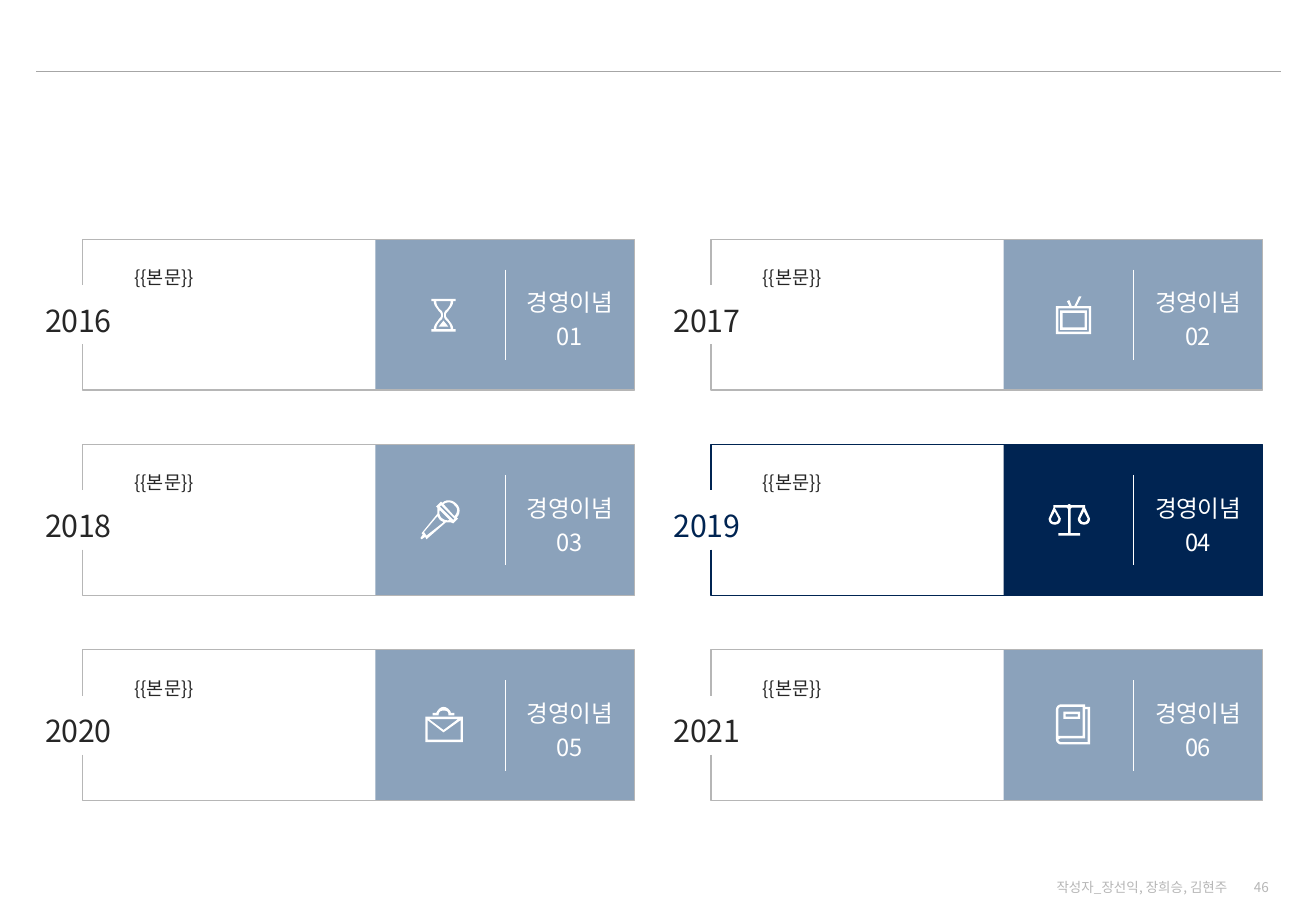
from itertools import product

from lxml import etree
from pptx import Presentation
from pptx import util as u
from pptx.dml.color import RGBColor
from pptx.enum import shapes, text
from pptx.oxml.ns import qn

NAVY = RGBColor(0x00, 0x24, 0x52)
STEEL = RGBColor(0x8B, 0xA2, 0xBB)
WHITE = RGBColor(0xFF, 0xFF, 0xFF)
INK = RGBColor(0x26, 0x26, 0x26)
SILVER = RGBColor(0xB6, 0xB6, 0xB6)
RULE_GRAY = RGBColor(0xA6, 0xA6, 0xA6)

# Positions and sizes are percentages of the slide's width and height.
CARD_LEFT, CARD_TOP = 6.28, 26.27
CARD_WIDTH, CARD_HEIGHT = 41.92, 16.53
COLUMN_PITCH, ROW_PITCH = 47.74, 22.53
GAP_TOP, GAP_BOTTOM = 5.03, 11.53
HIGHLIGHT_YEAR = 2019

# Icon outlines: M starts a contour, L adds lines, C adds a cubic curve.
HOURGLASS = """
M 22 14 C 23 12 26 10 26 6 L 28 6 28 4 8 4 8 6 10 6 C 10 10 13 12 14 14
C 15 15 16 16 16 17 L 16 18 C 16 19 15 20 14 21 C 13 23 10 25 10 29
L 8 29 8 31 28 31 28 29 26 29 C 26 25 23 23 22 21 C 21 20 20 19 20 18
L 20 17 C 20 16 21 15 22 14
M 20.6 22 C 22.6 24 23.8 26 24 29 L 12 29 C 12.2 26 13.4 24 15.4 22
C 16.8 21 17.5 20 17.5 18 L 17.5 17 C 17.5 15 16.8 14 15.4 13
C 13.4 11 12.2 9 12 6 L 24 6 C 23.8 9 22.6 11 20.6 13
C 19.2 14 18.5 15 18.5 17 L 18.5 18 C 18.5 20 19.2 21 20.6 22
M 14 27 L 22 27 18 22"""
TELEVISION = """
M 22 10 L 26 2 24 2 20 10 18 10 16 5 14 6 16 10 5 10 5 33 34 33 34 10
M 32 31 L 7 31 7 12 32 12
M 8.5 13.5 L 30.5 13.5 30.5 29.5 8.5 29.5
M 10.5 15.5 L 28.5 15.5 28.5 27.5 10.5 27.5"""
MICROPHONE = """
M 29 4 C 25 0 20 0 17 3 L 16 2 12 6 13 7 C 13 9 13 10 13 12
L 0 28 1 29 -1 32 0 33 3 31 4 33 20 19 21 19 C 22 19 23 19 24 19
L 26 20 30 16 29 15 C 32 12 32 7 29 4
M 4 30 L 2 27 13 14 C 14 15 14 16 15 17 C 16 18 17 18 18 19
M 16 15 C 15 14 14 11 15 9 L 23 17 C 21 18 18 17 16 15
M 26 17 L 15 6 16 5 27 16
M 18 4 C 21 2 25 2 27 5 C 30 7 30 11 27 14"""
SCALES = """
M 33 16 L 29 7 29 5 17 5 C 17 5 17 4 16 4 C 15 4 15 5 14 5
L 3 5 3 7 -1 16 C -1 18 0 21 4 21 C 8 21 9 18 9 16
L 4 7 14 7 15 8 15 28 7 28 7 30 25 30 25 28 17 28 17 8 18 7 27 7 23 16
C 23 18 24 21 28 21 C 32 21 33 18 33 16
M 7 16 C 7 17 6 19 4 19 C 1 19 1 17 1 16 L 4 10
M 28 19 C 26 19 25 17 25 16 L 28 10 31 16 C 31 17 30 19 28 19"""
ENVELOPE = """
M 3 10 L 34 10 34 31 3 31
M 30 12 L 18 21 6 12
M 32 29 L 5 29 5 13 18 23 32 13
M 14 8 C 14 6 16 5 18 5 C 21 5 22 6 22 8 L 22 9 27 9 27 7 24 7
C 24 5 21 2 18 2 C 15 2 13 5 12 7 L 9 7 9 9 14 9"""
BOOK = """
M 29 2 L 29 0 9 0 C 7 0 5 2 5 4 L 5 29 C 5 31 7 33 9 33 L 33 33 33 2
M 7 4 C 7 3 8 2 9 2 L 27 2 27 26 9 26 C 8 26 8 26 7 26
M 31 31 L 9 31 C 8 31 7 30 7 29 C 7 29 8 28 9 28 L 29 28 29 4 31 4
M 25 6 L 11 6 11 12 25 12
M 23 10 L 13 10 13 8 23 8"""
ICONS = [HOURGLASS, TELEVISION, MICROPHONE, SCALES, ENVELOPE, BOOK]


def contours_of(outline, steps=6):
    """Turn an outline text into lists of points, with curves flattened."""
    contours = []
    for contour in outline.split("M")[1:]:
        points = []
        for part in contour.replace("L", "|L").replace("C", "|C").split("|"):
            numbers = [float(word) for word in part.strip("LC \n").split()]
            pairs = list(zip(numbers[::2], numbers[1::2]))
            if not part.startswith("C"):
                points += pairs
                continue
            controls = [points[-1], *pairs]
            for step in range(1, steps + 1):
                t = step / steps
                weights = ((1 - t) ** 3, 3 * t * (1 - t) ** 2, 3 * t * t * (1 - t), t ** 3)
                points.append(tuple(sum(w * point[axis] for w, point in zip(weights, controls))
                                    for axis in (0, 1)))
        contours.append(points)
    return contours


class SlideBuilder:
    """Adds styled elements to one slide, placed by percentages of its size."""

    font_name = "Noto Sans CJK KR"

    def __init__(self, presentation):
        self.width, self.height = presentation.slide_width, presentation.slide_height
        self.slide = presentation.slides.add_slide(presentation.slide_layouts[6])
        self.shapes = self.slide.shapes

    def place(self, x, y):
        return round(self.width * x / 100), round(self.height * y / 100)

    def line(self, start, end, color, points):
        connector = self.shapes.add_connector(
            shapes.MSO_CONNECTOR.STRAIGHT, *self.place(*start), *self.place(*end))
        connector.line.color.rgb = color
        connector.line.width = u.Pt(points)
        etree.SubElement(connector._element.spPr, qn("a:effectLst"))

    def panel(self, x, y, width, height, color):
        shape = self.shapes.add_shape(
            shapes.MSO_SHAPE.RECTANGLE, *self.place(x, y), *self.place(width, height))
        shape.shadow.inherit = False
        shape.fill.solid()
        shape.fill.fore_color.rgb = color
        shape.line.fill.background()

    def freeform(self, contours, close):
        """Draw contours, given in EMU, as one shape without a shadow."""
        first, *others = contours
        builder = self.shapes.build_freeform(*first[0])
        builder.add_line_segments(first[1:], close=close)
        for contour in others:
            builder.move_to(*contour[0])
            builder.add_line_segments(contour[1:], close=close)
        shape = builder.convert_to_shape()
        shape.shadow.inherit = False
        return shape

    def frame(self, points, color):
        shape = self.freeform([[self.place(*point) for point in points]], close=False)
        shape.fill.background()
        shape.line.color.rgb = color
        shape.line.width = u.Pt(0.75)

    def icon(self, x, y, outline):
        left, top = self.place(x, y)
        unit = u.Inches(0.01)
        shape = self.freeform([[(left + px * unit, top + py * unit) for px, py in contour]
                               for contour in contours_of(outline)], close=True)
        shape.fill.solid()
        shape.fill.fore_color.rgb = WHITE
        shape.line.fill.background()

    def text(self, x, y, width, height, lines, size, color, align=text.PP_ALIGN.LEFT,
             anchor=text.MSO_ANCHOR.TOP, wrap=True, inset=(0.1, 0.05), spacing=1.2, tracking=0):
        box = self.shapes.add_textbox(*self.place(x, y), *self.place(width, height))
        frame = box.text_frame
        frame.word_wrap = wrap
        frame.vertical_anchor = anchor
        frame.margin_left = frame.margin_right = u.Inches(inset[0])
        frame.margin_top = frame.margin_bottom = u.Inches(inset[1])
        frame.text = "\n".join(lines)
        for paragraph in frame.paragraphs:
            paragraph.alignment = align
            paragraph.line_spacing = spacing
            font = paragraph.font
            font.name, font.size = self.font_name, u.Pt(size)
            font.color.rgb = color
            properties = paragraph._p.pPr.find(qn("a:defRPr"))
            properties.set("spc", str(tracking))
            etree.SubElement(properties, qn("a:ea"), typeface=self.font_name)

    def card(self, x, y, number, year, outline):
        """Draw a year card whose frame is open on the left around the year."""
        chosen = year == HIGHLIGHT_YEAR
        right, bottom = x + CARD_WIDTH, y + CARD_HEIGHT
        self.panel(x + 22.25, y, 19.67, CARD_HEIGHT, NAVY if chosen else STEEL)
        self.frame([(x, y + GAP_BOTTOM), (x, bottom), (right, bottom), (right, y),
                    (x, y), (x, y + GAP_TOP)], NAVY if chosen else SILVER)
        self.icon(x + 25.76, y + 6, outline)
        self.line((x + 32.13, y + 3.33), (x + 32.13, y + 13.27), WHITE, 0.75)
        self.text(x + 32.78, y + 4.1, 8.5, 8.8, ["경영이념", f"{number:02}"], 14, WHITE,
                  align=text.PP_ALIGN.CENTER, wrap=False, tracking=-20)
        self.text(x - 3.74, y + 5.4, 7.02, 6.13, [str(year)], 18, NAVY if chosen else INK,
                  wrap=False, tracking=-20)
        self.text(x + 3.93, y + 2.45, 16.34, 2.93, ["{{본문}}"], 11, INK, inset=(0, 0))

    def footer(self, x, width, content):
        self.text(x, 96.27, width, 2.13, [content], 8, SILVER, align=text.PP_ALIGN.RIGHT,
                  anchor=text.MSO_ANCHOR.MIDDLE, spacing=1.0)


def main():
    presentation = Presentation()
    presentation.slide_width, presentation.slide_height = u.Inches(10.83), u.Inches(7.5)
    builder = SlideBuilder(presentation)
    builder.line((2.77, 7.85), (97.32, 7.85), RULE_GRAY, 0.5)
    builder.footer(93.54, 3.79, "46")
    builder.footer(78.67, 15.51, "작성자_장선익, 장희승, 김현주")
    for index, (row, column) in enumerate(product(range(3), range(2))):
        builder.card(CARD_LEFT + column * COLUMN_PITCH, CARD_TOP + row * ROW_PITCH,
                     index + 1, 2016 + index, ICONS[index])
    presentation.save("out.pptx")


if __name__ == "__main__":
    main()
